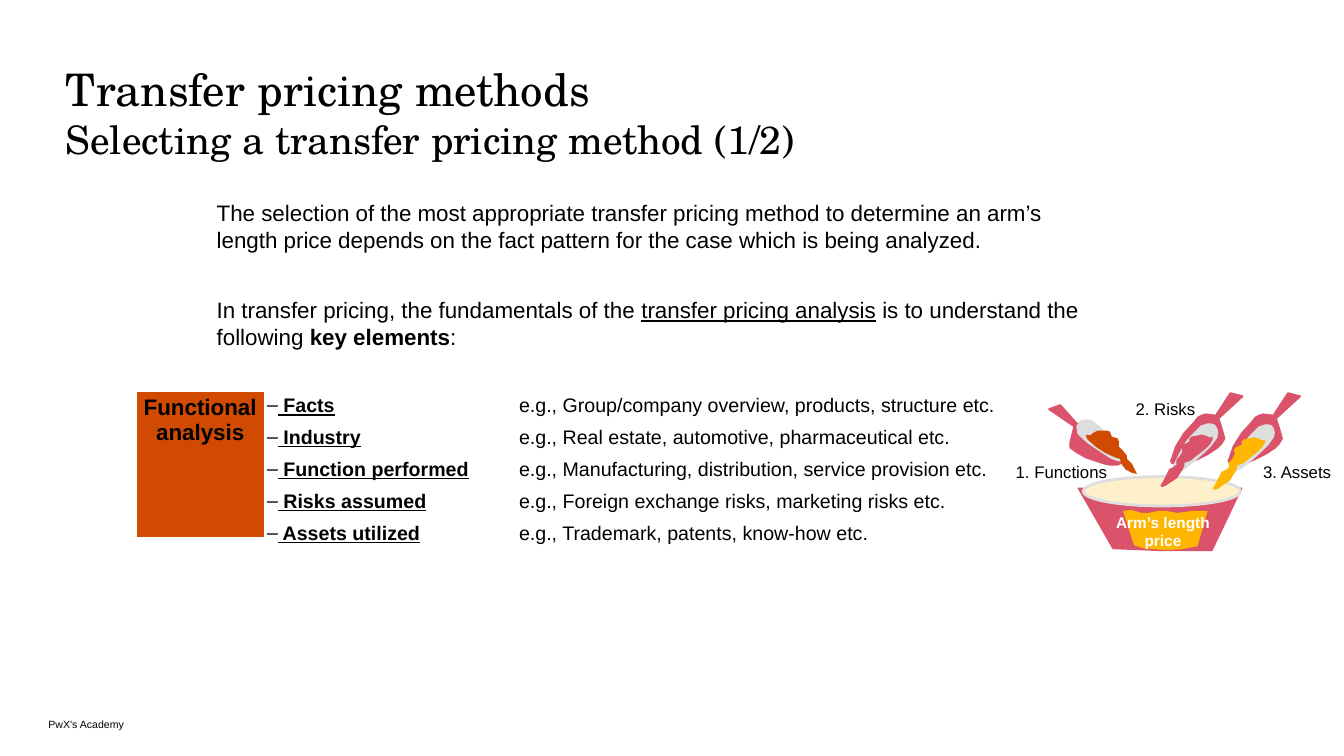
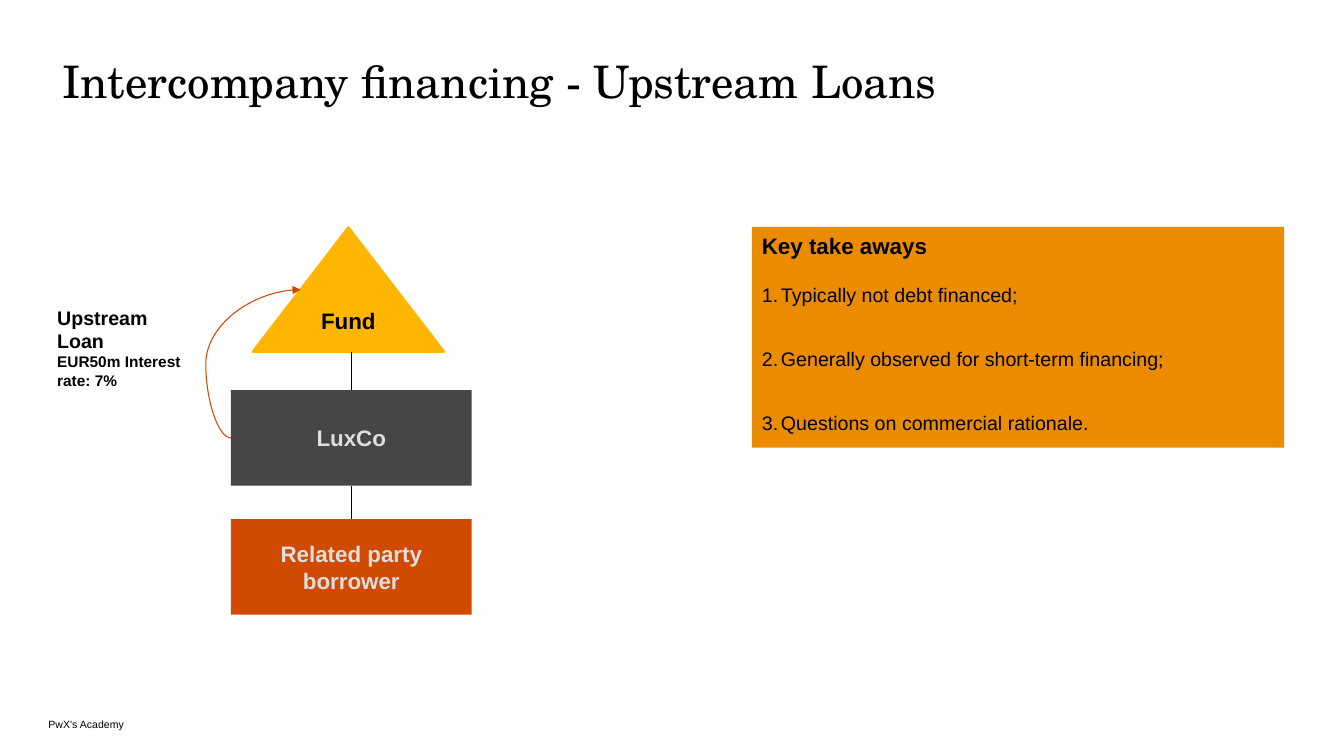
from lxml import etree
from pptx import Presentation
from pptx.dml.color import RGBColor
from pptx.enum.shapes import MSO_CONNECTOR, MSO_SHAPE
from pptx.enum.text import MSO_ANCHOR, MSO_AUTO_SIZE, PP_ALIGN
from pptx.oxml.ns import qn
from pptx.util import Cm, Pt

CENTER, LEFT = PP_ALIGN.CENTER, PP_ALIGN.LEFT
TOP, MIDDLE, BOTTOM = MSO_ANCHOR.TOP, MSO_ANCHOR.MIDDLE, MSO_ANCHOR.BOTTOM
STRAIGHT, CURVE = MSO_CONNECTOR.STRAIGHT, MSO_CONNECTOR.CURVE
RECTANGLE, TRIANGLE, ELLIPSE = (
    MSO_SHAPE.RECTANGLE, MSO_SHAPE.ISOSCELES_TRIANGLE, MSO_SHAPE.OVAL)

COLORS = {
    "black": "000000", "white": "FFFFFF", "orange": "D04A02", "amber": "EB8C00",
    "yellow": "FFB600", "cream": "FFF0CC", "rose": "DB536A", "light": "DEDEDE",
    "dark": "464646", "arrow": "D04600",
}
TITLE_FONT, TEXT_FONT = "TeX Gyre Schola", "Arial"
OUTLINE_UNIT = Cm(0.0254)
INSETS = (0.25, 0.13, 0.25, 0.13)
NO_INSETS = (0, 0, 0, 0)
FOOTER = "PwX's Academy"

# Content of slide 1
METHOD_TITLE = [("Transfer pricing methods", 32),
                ("Selecting a transfer pricing method (1/2)", 28)]
INTRO = [
    [("The selection of the most appropriate transfer pricing method to determine "
      "an arm’s length price depends on the fact pattern for the case which is "
      "being analyzed.", "")],
    [("In transfer pricing, the fundamentals of the ", ""),
     ("transfer pricing analysis", "u"),
     (" is to understand the following ", ""), ("key elements", "b"), (":", "")],
]
KEY_ELEMENTS = [
    ("Facts", "Group/company overview, products, structure etc."),
    ("Industry", "Real estate, automotive, pharmaceutical etc."),
    ("Function performed", "Manufacturing, distribution, service provision etc."),
    ("Risks assumed", "Foreign exchange risks, marketing risks etc."),
    ("Assets utilized", "Trademark, patents, know-how etc."),
]
BOWL_LABELS = [  # text, left, top, width, height, size, colour, bold
    ("1. Functions", 25.53, 11.63, 2.44, 0.53, 12, "black", False),
    ("3. Assets", 31.7, 11.63, 1.98, 0.48, 12, "black", False),
    ("2. Risks", 28.19, 10.06, 2.36, 0.48, 12, "black", False),
    ("Arm’s length\nprice", 27.94, 12.93, 2.74, 1.02, 11, "white", True),
]

# Outlines of the bowl drawing, in outline units
BOWL = [(0, 0), (35, 61), (84, 63), (134, 63), (164, 0)]
BOWL_LABEL = [(0, 1), (8, 0), (19, 3), (25, 3), (35, 1), (43, 1), (54, 3), (69, 1),
              (84, 1), (74, 36), (59, 39), (43, 40), (20, 38), (11, 35)]
SCOOP = [(43, 22), (35, 21), (31, 22), (27, 24), (23, 29), (13, 40), (5, 53), (1, 65),
         (0, 67), (1, 69), (7, 71), (9, 71), (18, 69), (27, 65), (37, 60), (46, 54),
         (50, 50), (53, 45), (50, 34), (47, 25), (71, 3), (59, 0), (44, 23)]
LINING = [(30, 33), (36, 31), (40, 31), (43, 32), (45, 35), (46, 39), (45, 44),
          (39, 52), (34, 57), (23, 67), (13, 75), (7, 78), (3, 78), (2, 76), (3, 72),
          (8, 62), (15, 49), (21, 42), (26, 37)]
POWDER = [(49, 3), (45, 1), (41, 0), (37, 1), (31, 2), (29, 4), (29, 7), (27, 8),
          (23, 10), (21, 12), (22, 17), (19, 22), (16, 25), (16, 30), (12, 33),
          (9, 34), (6, 40), (3, 46), (0, 51), (2, 52), (5, 51), (11, 47), (17, 43),
          (22, 35), (24, 31), (24, 28), (30, 26), (36, 21), (40, 18), (45, 14),
          (49, 10), (52, 5), (52, 2)]
LEFT_SCOOP = [(28, 19), (32, 17), (39, 17), (43, 19), (48, 23), (57, 32), (66, 43),
              (71, 53), (72, 57), (68, 59), (61, 59), (55, 58), (37, 52), (28, 47),
              (21, 42), (21, 37), (25, 21), (0, 4), (11, 0)]
LEFT_LINING = [(14, 1), (9, 0), (4, 1), (0, 6), (1, 13), (4, 16), (12, 23), (24, 31),
               (33, 37), (38, 39), (42, 40), (44, 37), (41, 30), (29, 14), (23, 8),
               (18, 4)]
LEFT_POWDER = [(4, 5), (8, 2), (12, 0), (20, 0), (24, 1), (26, 6), (32, 8), (33, 11),
               (33, 16), (37, 20), (41, 25), (41, 28), (46, 33), (49, 39), (51, 43),
               (46, 42), (40, 39), (36, 34), (34, 28), (30, 27), (19, 22), (10, 16),
               (2, 9), (0, 5), (2, 4)]
BOWL_PARTS = [  # outline, left, top, fill, line width
    (BOWL, 27.15, 12.29, "rose", 0),
    (BOWL_LABEL, 28.3, 12.85, "yellow", 0),
]
SCOOP_PARTS = [
    (SCOOP, 30.96, 9.91, "rose", 1.38),
    (LINING, 30.96, 9.91, "light", 0),
    (POWDER, 30.56, 11.02, "yellow", 0),
    (LEFT_SCOOP, 26.44, 10.21, "rose", 1.38),
    (LEFT_LINING, 27.15, 10.59, "light", 1.38),
    (LEFT_POWDER, 27.36, 10.85, "orange", 0),
    (SCOOP, 29.51, 9.91, "rose", 1.38),
    (LINING, 29.51, 9.91, "light", 1.38),
    (POWDER, 29.24, 10.95, "rose", 0),
]

# Content of slide 2
LOAN_TITLE = [("Intercompany financing - Upstream Loans", 32)]
LOAN_NOTE = [("Upstream Loan", 14), ("EUR50m Interest rate: 7%", 11)]
TAKEAWAYS_HEADING = "Key take aways"
TAKEAWAYS = ["Typically not debt financed;",
             "Generally observed for short-term financing;",
             "Questions on commercial rationale."]


def rgb(name):
    return RGBColor.from_string(COLORS[name])


def style(run, size, color="black", bold=False, underline=False, font=TEXT_FONT):
    run.font.name, run.font.size = font, Pt(size)
    run.font.bold, run.font.underline = bold, underline
    run.font.color.rgb = rgb(color)


def setup_frame(frame, insets=INSETS, anchor=TOP):
    frame.word_wrap, frame.auto_size = True, MSO_AUTO_SIZE.NONE
    frame.vertical_anchor = anchor
    (frame.margin_left, frame.margin_top,
     frame.margin_right, frame.margin_bottom) = map(Cm, insets)


def place(shape, *box):
    shape.left, shape.top, shape.width, shape.height = map(Cm, box)


def paint(shape, fill, line_width=0):
    shape.shadow.inherit = False
    shape.fill.solid()
    shape.fill.fore_color.rgb = rgb(fill)
    if line_width:
        shape.line.color.rgb = rgb(fill)
        shape.line.width = Pt(line_width)
    else:
        shape.line.fill.background()


def write(frame, text, size, color="black", bold=False, align=LEFT):
    frame.text = text
    for paragraph in frame.paragraphs:
        paragraph.alignment = align
        for run in paragraph.runs:
            style(run, size, color, bold)


def add_label(slide, text, box, size, color="black", bold=False, align=CENTER,
              anchor=TOP):
    label = slide.shapes.add_textbox(*map(Cm, box))
    setup_frame(label.text_frame, NO_INSETS, anchor)
    write(label.text_frame, text, size, color, bold, align)


def add_box(slide, preset, box, fill, text, color, line_width=0):
    shape = slide.shapes.add_shape(preset, *map(Cm, box))
    paint(shape, fill, line_width)
    setup_frame(shape.text_frame, INSETS, MIDDLE)
    write(shape.text_frame, text, 16, color, True, CENTER)
    return shape


def add_outline(slide, points, left, top, fill, line_width):
    builder = slide.shapes.build_freeform(*points[0], scale=OUTLINE_UNIT)
    builder.add_line_segments(points[1:], close=True)
    paint(builder.convert_to_shape(Cm(left), Cm(top)), fill, line_width)


def finish_connector(connector, color):
    connector.line.color.rgb = rgb(color)
    connector.line.width = Pt(0.75)
    etree.SubElement(connector._element.spPr, qn("a:effectLst"))


def next_paragraph(frame, before, marker="buNone", indent=0, hang=0, tab=0, **attrs):
    """Start a paragraph with its own list marker, indent and tab stop."""
    first = not frame.text
    paragraph = frame.paragraphs[0] if first else frame.add_paragraph()
    properties = paragraph._p.get_or_add_pPr()
    properties.set("marL", str(Cm(indent)))
    properties.set("indent", str(-Cm(hang)))
    etree.SubElement(properties, qn("a:" + marker), attrs)
    if tab:
        stops = etree.SubElement(properties, qn("a:tabLst"))
        etree.SubElement(stops, qn("a:tab"), pos=str(Cm(tab)), algn="l")
    paragraph.space_before = Pt(0 if first else before)
    paragraph.space_after = Pt(0)
    paragraph.alignment = LEFT
    return paragraph


def add_run(paragraph, text, size, marks=""):
    run = paragraph.add_run()
    run.text = text
    style(run, size, bold="b" in marks, underline="u" in marks)


def new_slide(prs, title_lines, title_left, line_spacing, body_box):
    slide = prs.slides.add_slide(prs.slide_layouts[1])
    title, body = slide.shapes.title, slide.placeholders[1]
    place(title, title_left, 1.55, 31.39, 1.4)
    setup_frame(title.text_frame, NO_INSETS)
    heading = title.text_frame.paragraphs[0]
    heading.text = "\n".join(text for text, _ in title_lines)
    heading.alignment, heading.line_spacing = LEFT, line_spacing
    for run, (_, size) in zip(heading.runs, title_lines):
        style(run, size, font=TITLE_FONT)
    place(body, *body_box)
    setup_frame(body.text_frame)
    add_label(slide, FOOTER, (1.22, 18.03, 15.21, 0.38), 7.5, align=LEFT, anchor=BOTTOM)
    return slide, body


def build_method_slide(prs):
    slide, body = new_slide(prs, METHOD_TITLE, 1.65, 1.0, (5.21, 4.88, 22.43, 12.27))
    # Introduction and key elements
    frame = body.text_frame
    for runs in INTRO:
        paragraph = next_paragraph(frame, 31)
        for text, marks in runs:
            add_run(paragraph, text, 16, marks)
    for index, (element, example) in enumerate(KEY_ELEMENTS):
        paragraph = next_paragraph(frame, 6 if index else 31, "buChar", 1.52, 0.25,
                                   7.62, char="–")
        add_run(paragraph, " " + element, 14, "bu")
        add_run(paragraph, "\te.g., " + example, 14)
    # Functional analysis cell
    analysis = slide.shapes.add_table(
        1, 1, Cm(3.43), Cm(9.86), Cm(3.23), Cm(3.68)).table.cell(0, 0)
    analysis.fill.solid()
    analysis.fill.fore_color.rgb = rgb("orange")
    analysis.margin_left = analysis.margin_right = Cm(0.18)
    analysis.margin_top = analysis.margin_bottom = Cm(0.1)
    write(analysis.text_frame, "Functional\nanalysis", 16, "black", True, CENTER)
    # Bowl with three scoops
    for part in BOWL_PARTS:
        add_outline(slide, *part)
    rim = slide.shapes.add_shape(ELLIPSE, Cm(27.3), Cm(12.01), Cm(3.96), Cm(0.74))
    paint(rim, "cream", 2)
    rim.line.color.rgb = rgb("light")
    for part in SCOOP_PARTS:
        add_outline(slide, *part)
    for text, left, top, width, height, size, color, bold in BOWL_LABELS:
        add_label(slide, text, (left, top, width, height), size, color, bold)


def build_loan_slide(prs):
    slide, takeaways = new_slide(prs, LOAN_TITLE, 1.57, 0.85, (18.95, 5.72, 13.41, 5.56))
    # Key take aways
    paint(takeaways, "amber")
    frame = takeaways.text_frame
    add_run(next_paragraph(frame, 0), TAKEAWAYS_HEADING, 16, "b")
    for index, takeaway in enumerate(TAKEAWAYS):
        paragraph = next_paragraph(frame, 29 if index else 17, "buAutoNum", 0.48, 0.48,
                                   type="arabicPeriod")
        add_run(paragraph, takeaway, 14)
    # Ownership chain
    fund = add_box(slide, TRIANGLE, (6.38, 5.74, 4.8, 3.12), "yellow", "Fund", "black", 2)
    luxco = add_box(slide, RECTANGLE, (5.82, 9.83, 6.07, 2.41), "dark", "LuxCo", "light")
    borrower = add_box(slide, RECTANGLE, (5.82, 13.08, 6.07, 2.41), "orange",
                       "Related party borrower", "light")
    chain_x = luxco.left + luxco.width // 2
    fund_link = slide.shapes.add_connector(
        STRAIGHT, chain_x, fund.top + fund.height, chain_x, luxco.top)
    fund_link.end_connect(luxco, 0)
    borrower_link = slide.shapes.add_connector(
        STRAIGHT, chain_x, luxco.top + luxco.height, chain_x, borrower.top)
    borrower_link.begin_connect(luxco, 2)
    borrower_link.end_connect(borrower, 0)
    for link in (fund_link, borrower_link):
        finish_connector(link, "black")
    # Upstream loan arrow, ending halfway up the triangle's left edge
    loan = slide.shapes.add_connector(
        CURVE, luxco.left, luxco.top + luxco.height // 2,
        fund.left + fund.width // 4, fund.top + fund.height // 2)
    loan.begin_connect(luxco, 1)
    loan.end_connect(fund, 1)
    loan.end_x = fund.left + fund.width // 4
    finish_connector(loan, "arrow")
    etree.SubElement(loan.line._get_or_add_ln(), qn("a:tailEnd"), type="triangle")
    adjustments = loan._element.spPr.find(qn("a:prstGeom")).find(qn("a:avLst"))
    etree.SubElement(adjustments, qn("a:gd"), name="adj1", fmla="val -36000")
    # Loan terms
    note = slide.shapes.add_textbox(Cm(1.19), Cm(7.57), Cm(4.01), Cm(2.39)).text_frame
    setup_frame(note)
    note.text = "\n".join(text for text, _ in LOAN_NOTE)
    for paragraph, (_, size) in zip(note.paragraphs, LOAN_NOTE):
        style(paragraph.runs[0], size, bold=True)


def main():
    prs = Presentation()
    prs.slide_width, prs.slide_height = Cm(33.87), Cm(19.05)
    build_method_slide(prs)
    build_loan_slide(prs)
    prs.save("out.pptx")


if __name__ == "__main__":
    main()
